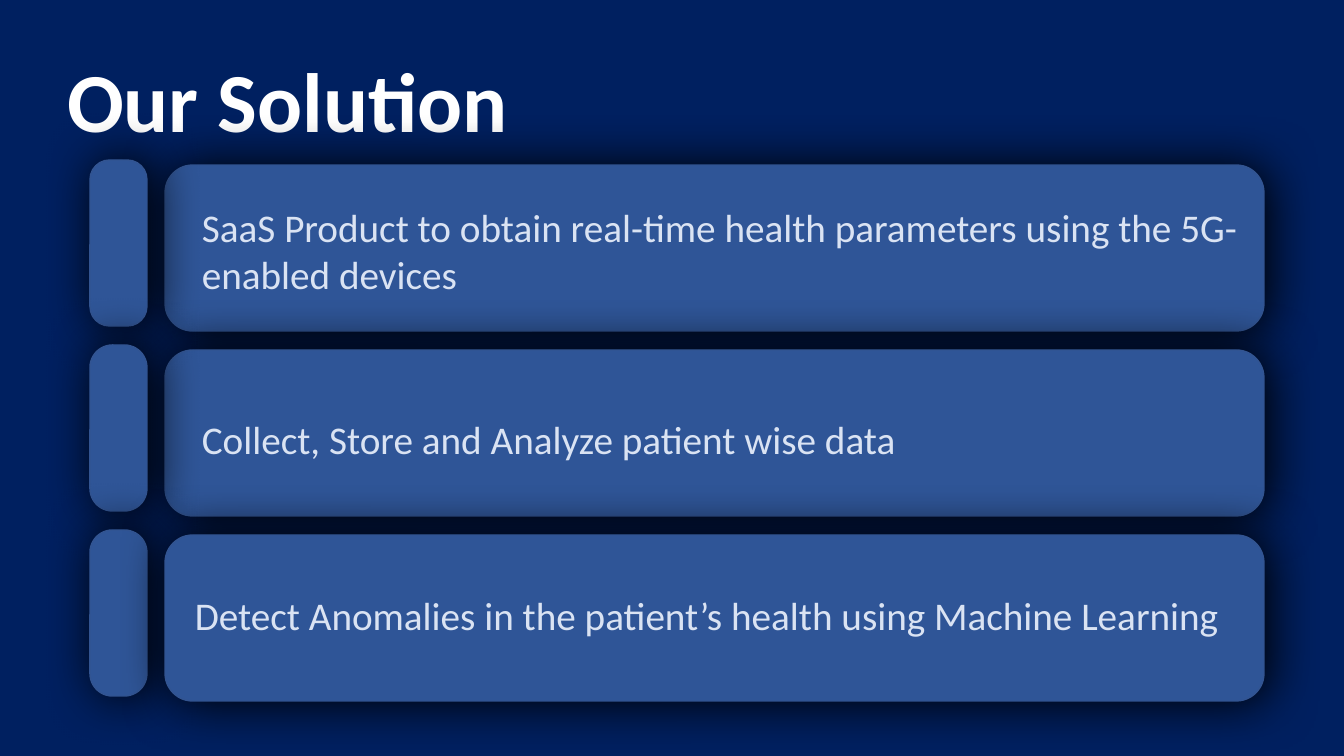
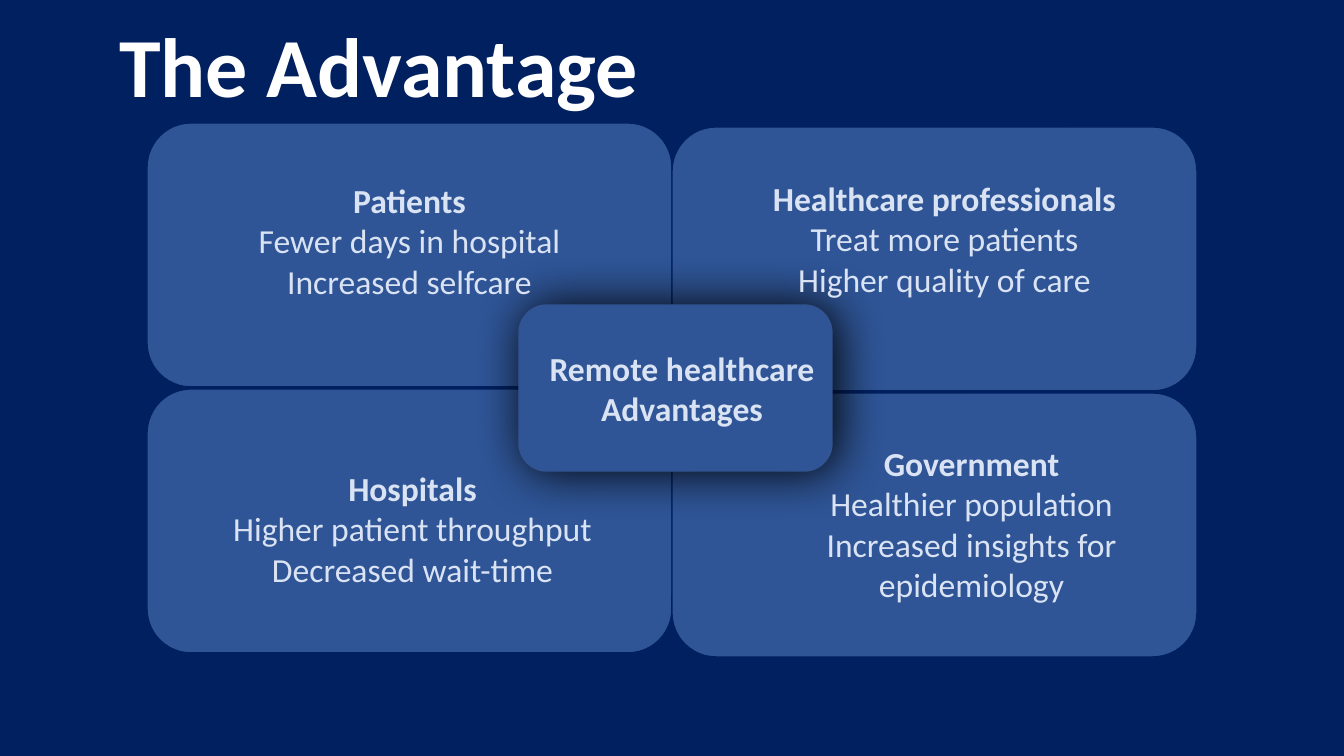
from lxml import etree
from pptx import Presentation
from pptx import util as u
from pptx.dml.color import RGBColor
from pptx.enum import shapes, text
from pptx.oxml import ns

NAVY = RGBColor(0x00, 0x20, 0x60)
BLUE = RGBColor(0x2F, 0x55, 0x97)
EDGE = RGBColor(0x32, 0x54, 0x91)
PALE = RGBColor(0xDA, 0xE3, 0xF3)
WHITE = RGBColor(0xFF, 0xFF, 0xFF)
BLACK = RGBColor(0x00, 0x00, 0x00)
FONT = "Calibri"
SCALE = 914400 / 100.8
TITLE_ONLY = 5


def px(*lengths):
    return [u.Emu(round(length * SCALE)) for length in lengths]


def write(frame, lines, size, color=PALE, bold_lines=0, align=text.PP_ALIGN.LEFT,
          spacing=None):
    frame.word_wrap = True
    frame.auto_size = text.MSO_AUTO_SIZE.NONE
    frame.vertical_anchor = text.MSO_ANCHOR.TOP
    for index, line in enumerate(lines):
        paragraph = frame.paragraphs[0] if index == 0 else frame.add_paragraph()
        paragraph.alignment = align
        paragraph.line_spacing = spacing
        run = paragraph.add_run()
        run.text = line
        run.font.name = FONT
        run.font.size = u.Pt(size)
        run.font.bold = index < bold_lines
        run.font.color.rgb = color


def caption(slide, box, lines, **style):
    write(slide.shapes.add_textbox(*px(*box)).text_frame, lines, **style)


def cast_shadow(panel):
    effects = panel._element.spPr.find(ns.qn("a:effectLst"))
    shadow = etree.SubElement(effects, ns.qn("a:outerShdw"), blurRad=str(u.Pt(36)),
                              dist=str(u.Pt(3)), dir="0", algn="ctr", rotWithShape="0")
    tint = etree.SubElement(shadow, ns.qn("a:srgbClr"), val=str(BLACK))
    etree.SubElement(tint, ns.qn("a:alpha"), val="98000")


def rounded_panel(slide, box, edge=EDGE, shadow=True, corner=None):
    panel = slide.shapes.add_shape(shapes.MSO_SHAPE.ROUNDED_RECTANGLE, *px(*box))
    panel.fill.solid()
    panel.fill.fore_color.rgb = BLUE
    panel.line.color.rgb = edge
    panel.line.width = u.Pt(1)
    panel.shadow.inherit = False
    if corner:
        panel.adjustments[0] = corner
    if shadow:
        cast_shadow(panel)


def titled_slide(deck, heading, left, top):
    slide = deck.slides.add_slide(deck.slide_layouts[TITLE_ONLY])
    title = slide.shapes.title
    title.left, title.top, title.width, title.height = px(left, top, 1001, 87)
    write(title.text_frame, [heading], size=60, color=WHITE, bold_lines=1, spacing=0.9)
    return slide


def solution_rows(slide, box):
    left, top, width, height = box
    row_height = 166
    pitch = (height - row_height - 5) / 2
    card_left = left + 75
    card_width = width - 75

    def card(row):
        rounded_panel(slide, (card_left, top + 5 + row * pitch, card_width, row_height))

    card(0)
    card(1)
    for row, corner in enumerate((0.344, 0.394, 0.394)):
        rounded_panel(slide, (left, top + row * pitch, 57, row_height), corner=corner)
    caption(slide, (card_left + 27, top + 38, 1071, 105),
            ["SaaS Product to obtain real-time health parameters using the "
             "5G-enabled devices"], size=28)
    caption(slide, (card_left + 27, top + 250, 1071, 105),
            ["Collect, Store and Analyze patient wise data"], size=28)
    card(2)
    caption(slide, (card_left + 20, top + 426, 1058, 57),
            ["Detect Anomalies in the patient\u2019s health using Machine Learning"],
            size=28)


def advantage_grid(slide, box, hub, groups):
    left, top, width, height = box
    column_drop, row_gap = 4, 2
    panel_width = width / 2
    panel_height = (height - column_drop - row_gap) / 2
    for column in range(2):
        for row in range(2):
            rounded_panel(slide, (left + column * panel_width,
                                  top + column * column_drop
                                  + row * (panel_height + row_gap),
                                  panel_width, panel_height),
                          edge=NAVY, shadow=False)
    hub_left, hub_top = left + 372, top + 182
    rounded_panel(slide, (hub_left, hub_top, 313, 166))
    style = dict(size=24, align=text.PP_ALIGN.CENTER)
    caption(slide, (hub_left + 13, hub_top + 38, 300, 92), hub, bold_lines=2, **style)
    for (dx, dy, text_width, text_height), lines in groups:
        caption(slide, (left + dx, top + dy, text_width, text_height), lines,
                bold_lines=1, **style)


ADVANTAGES = [
    ((88, 52, 349, 132),
     ["Patients", "Fewer days in hospital", "Increased selfcare"]),
    ((613, 50, 369, 132),
     ["Healthcare professionals", "Treat more patients", "Higher quality of care"]),
    ((69, 340, 393, 132),
     ["Hospitals", "Higher patient throughput", "Decreased wait-time"]),
    ((643, 315, 363, 173),
     ["Government", "Healthier population", "Increased insights for epidemiology"]),
]

deck = Presentation()
deck.slide_width, deck.slide_height = px(1344, 756)
backdrop = deck.slide_master.background.fill
backdrop.solid()
backdrop.fore_color.rgb = NAVY

solution = titled_slide(deck, "Our Solution", 57, 55)
solution_rows(solution, (90, 160, 1174, 541))

advantage = titled_slide(deck, "The Advantage", 109, 20)
advantage_grid(advantage, (147, 123, 1050, 534),
               ["Remote healthcare", "Advantages"], ADVANTAGES)

deck.save("out.pptx")
